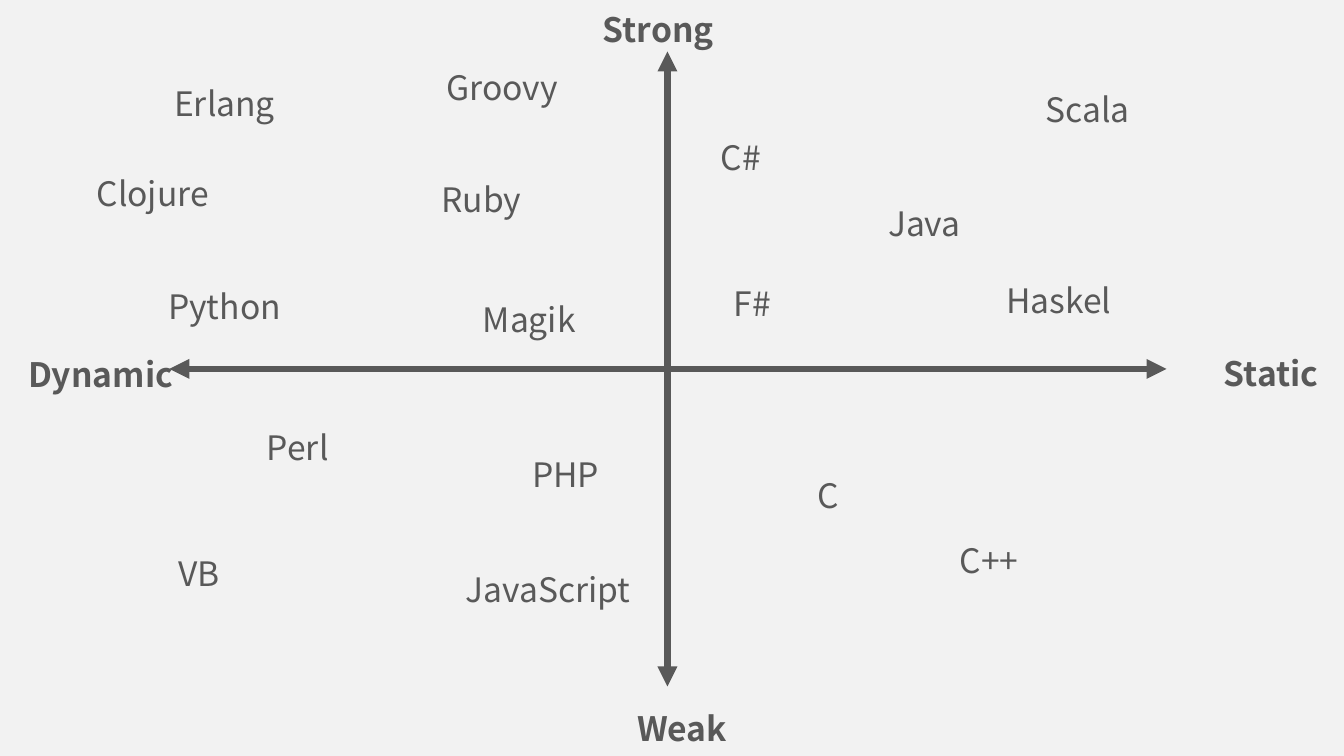
"""Build a slide that maps programming languages by type strength and type checking."""
from dataclasses import dataclass

from lxml import etree
from pptx import Presentation
from pptx import util as u
from pptx.dml import color
from pptx.enum import shapes, text
from pptx.oxml import ns
from pptx.slide import Slide

BACKGROUND = color.RGBColor(0xF2, 0xF2, 0xF2)
GREY = color.RGBColor(0x59, 0x59, 0x59)
FONT = "Noto Sans CJK SC"
LABEL_HEIGHT = 0.65
NARROW, MEDIUM, WIDE = 0.97, 1.5, 2.9


@dataclass(frozen=True)
class Label:
    wording: str
    left: float
    top: float
    width: float = WIDE
    bold: bool = False


@dataclass(frozen=True)
class Axis:
    start: tuple[float, float]
    end: tuple[float, float]


AXES = [
    Axis((6.62, 0.51), (6.62, 6.81)),
    Axis((11.57, 3.66), (1.68, 3.66)),
]

LANGUAGES = [
    Label("C#", 7.05, 1.11, NARROW),
    Label("Java", 8.71, 1.76, NARROW),
    Label("Scala", 10.27, 0.63, MEDIUM),
    Label("Haskel", 9.88, 2.53, MEDIUM),
    Label("F#", 7.18, 2.56, NARROW),
    Label("C", 8.01, 4.46, NARROW),
    Label("C++", 9.42, 5.11, NARROW),
    Label("PHP", 5.18, 4.25, NARROW),
    Label("JavaScript", 4.52, 5.39),
    Label("VB", 1.67, 5.24),
    Label("Perl", 2.55, 3.99),
    Label("Python", 1.57, 2.59),
    Label("Magik", 4.69, 2.72),
    Label("Ruby", 4.28, 1.53),
    Label("Groovy", 4.33, 0.41),
    Label("Erlang", 1.63, 0.57),
    Label("Clojure", 0.86, 1.47),
]

AXIS_ENDS = [
    Label("Strong", 5.88, -0.16, bold=True),
    Label("Static", 12.04, 3.25, bold=True),
    Label("Weak", 6.22, 6.77, bold=True),
    Label("Dynamic", 0.18, 3.26, bold=True),
]


def write_text(
    frame,
    wording: str,
    *,
    size: float = 24,
    bold: bool = False,
    ink: color.RGBColor = GREY,
    align: text.PP_ALIGN = text.PP_ALIGN.JUSTIFY,
    spacing: float = 1.5,
) -> None:
    """Write one formatted paragraph into a text frame."""
    para = frame.paragraphs[0]
    para.alignment = align
    para.line_spacing = spacing
    span = para.add_run()
    span.text = wording
    span.font.name = FONT
    span.font.size = u.Pt(size)
    span.font.bold = bold
    span.font.color.rgb = ink


def draw_label(page: Slide, label: Label) -> None:
    """Place a label in a wrapping text box."""
    box = page.shapes.add_textbox(
        u.Inches(label.left), u.Inches(label.top),
        u.Inches(label.width), u.Inches(LABEL_HEIGHT),
    )
    box.text_frame.word_wrap = True
    box.text_frame.auto_size = text.MSO_AUTO_SIZE.SHAPE_TO_FIT_TEXT
    write_text(box.text_frame, label.wording, bold=label.bold)


def draw_axis(page: Slide, axis: Axis) -> None:
    """Draw a thick line with a triangle at both ends."""
    line = page.shapes.add_connector(
        shapes.MSO_CONNECTOR.STRAIGHT,
        *(u.Inches(value) for value in axis.start + axis.end),
    )
    line.line.color.rgb = GREY
    line.line.width = u.Pt(4.75)
    properties = line.element.spPr
    outline = properties.find(ns.qn("a:ln"))
    for tag in ("a:headEnd", "a:tailEnd"):
        etree.SubElement(outline, ns.qn(tag), type="triangle")
    etree.SubElement(properties, ns.qn("a:effectLst"))


def main() -> None:
    """Build the deck and save it."""
    deck = Presentation()
    deck.slide_width = u.Inches(13.33)
    deck.slide_height = u.Inches(7.5)
    page = deck.slides.add_slide(deck.slide_layouts[6])
    page.background.fill.solid()
    page.background.fill.fore_color.rgb = BACKGROUND
    for axis in AXES:
        draw_axis(page, axis)
    for label in LANGUAGES + AXIS_ENDS:
        draw_label(page, label)
    deck.save("out.pptx")


if __name__ == "__main__":
    main()
